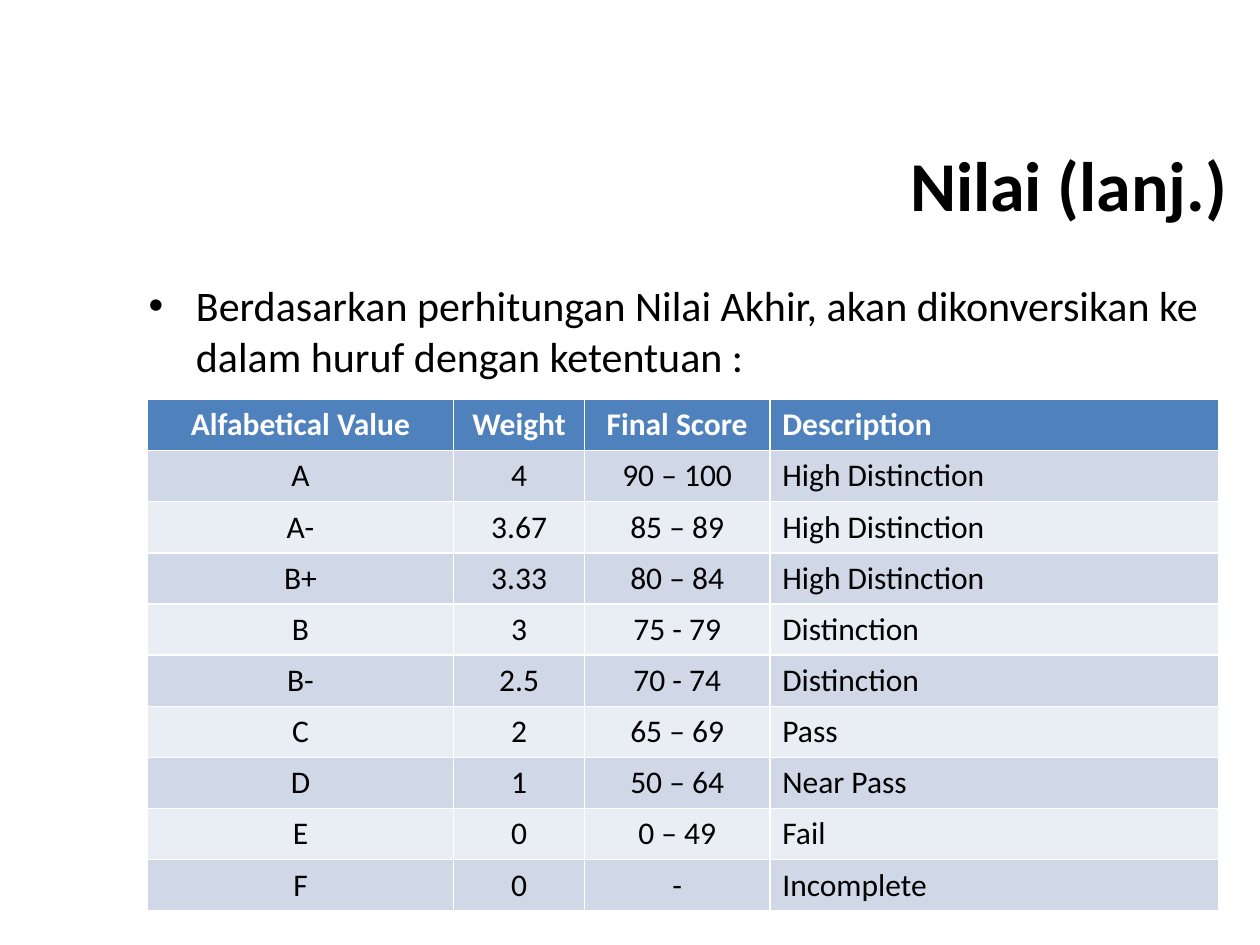
"""Build the grade conversion slide with its title, lead sentence and table."""
from dataclasses import dataclass

from pptx import Presentation
from pptx import util as u
from pptx.dml.color import RGBColor
from pptx.enum import text


@dataclass(frozen=True)
class Theme:
    font: str = "Calibri"
    ink: str = "000000"
    light: str = "FFFFFF"
    header: str = "4F81BD"
    bands: tuple = ("D0D8E8", "E9EDF4")
    title_size: int = 40
    body_size: int = 24
    table_size: int = 18


theme = Theme()


def place(shape, left, top, width, height):
    box = {"left": left, "top": top, "width": width, "height": height}
    for name, value in box.items():
        setattr(shape, name, u.Inches(value))


def write(frame, words, size, color=theme.ink, bold=False, align=None):
    paragraph = frame.paragraphs[0]
    paragraph.alignment = align
    run = paragraph.add_run()
    run.text = words
    font_format = {"name": theme.font, "size": u.Pt(size), "bold": bold}
    for name, value in font_format.items():
        setattr(run.font, name, value)
    run.font.color.rgb = RGBColor.from_string(color)


presentation = Presentation()
presentation.slide_width = u.Inches(10)
presentation.slide_height = u.Inches(7.5)
slide = presentation.slides.add_slide(presentation.slide_layouts[1])

title = slide.shapes.title
place(title, 3.67, 0.83, 6.17, 1.25)
write(title.text_frame, "Nilai (lanj.)", theme.title_size, bold=True,
      align=text.PP_ALIGN.RIGHT)

body = slide.placeholders[1]
place(body, 1.08, 2.17, 8.75, 4.67)
write(body.text_frame,
      "Berdasarkan perhitungan Nilai Akhir, akan dikonversikan ke dalam "
      "huruf dengan ketentuan :", theme.body_size)

for shape in (title, body):
    shape.text_frame.auto_size = text.MSO_AUTO_SIZE.NONE

grades = [
    ("Alfabetical Value", "Weight", "Final Score", "Description"),
    ("A", "4", "90 – 100", "High Distinction"),
    ("A-", "3.67", "85 – 89", "High Distinction"),
    ("B+", "3.33", "80 – 84", "High Distinction"),
    ("B", "3", "75 - 79", "Distinction"),
    ("B-", "2.5", "70 - 74", "Distinction"),
    ("C", "2", "65 – 69", "Pass"),
    ("D", "1", "50 – 64", "Near Pass"),
    ("E", "0", "0 – 49", "Fail"),
    ("F", "0", "-", "Incomplete"),
]
column_widths = (2.43, 1.04, 1.47, 3.56)
center = text.PP_ALIGN.CENTER
alignments = (center, center, center, text.PP_ALIGN.LEFT)

table = slide.shapes.add_table(
    len(grades), len(column_widths),
    u.Inches(1.17), u.Inches(3.17), u.Inches(8.5), u.Inches(4.06)).table
for column, width in zip(table.columns, column_widths):
    column.width = u.Inches(width)

for row_index, grade in enumerate(grades):
    is_header = row_index == 0
    fill_color = theme.header if is_header else theme.bands[(row_index - 1) % 2]
    text_color = theme.light if is_header else theme.ink
    for column_index, words in enumerate(grade):
        cell = table.cell(row_index, column_index)
        cell.fill.solid()
        cell.fill.fore_color.rgb = RGBColor.from_string(fill_color)
        write(cell.text_frame, words, theme.table_size, text_color,
              is_header, alignments[column_index])

presentation.save("out.pptx")
